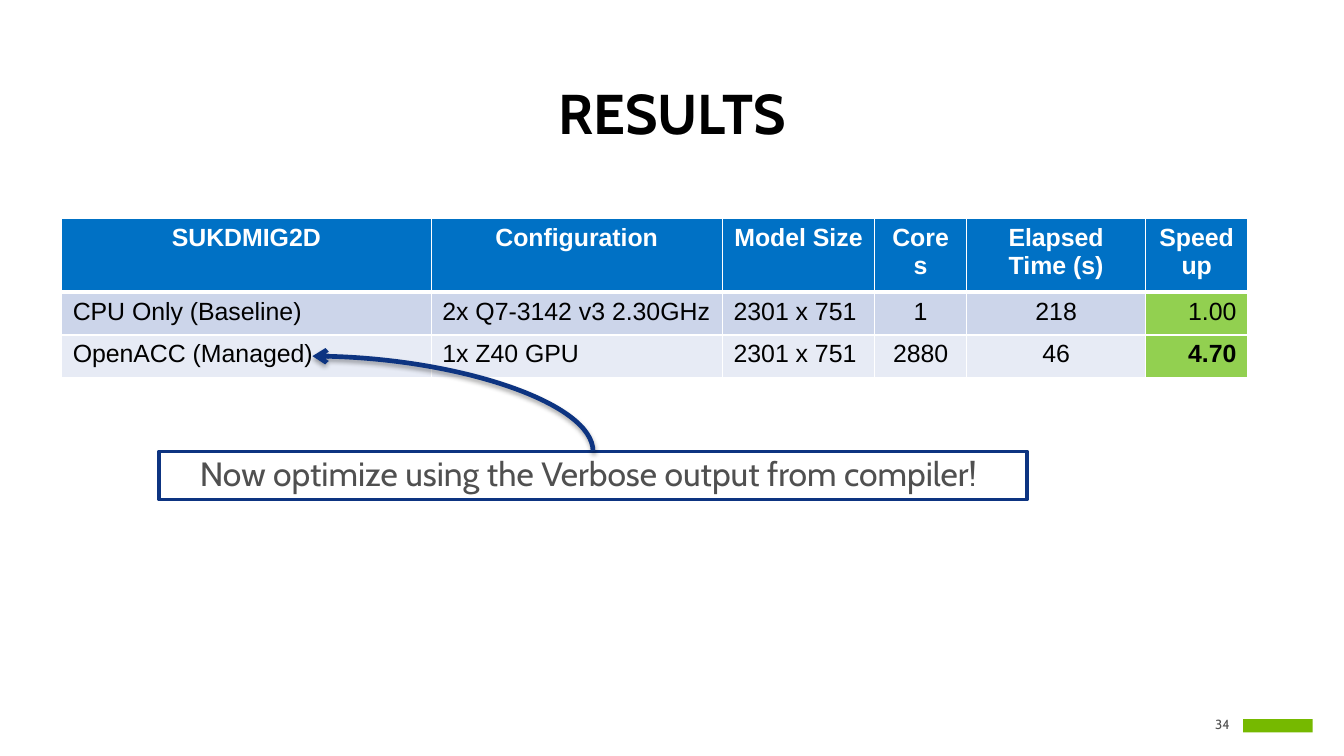
"""Build a results slide: a timing table with a callout and a curved arrow."""
from lxml import etree
from pptx import Presentation
from pptx.dml.color import RGBColor
from pptx.enum.shapes import MSO_CONNECTOR, MSO_SHAPE
from pptx.enum.text import MSO_ANCHOR, PP_ALIGN
from pptx.oxml import parse_xml
from pptx.oxml.ns import nsdecls, qn
from pptx.util import Inches, Pt

LEFT, MID, RIGHT = PP_ALIGN.LEFT, PP_ALIGN.CENTER, PP_ALIGN.RIGHT
CENTRE, BOTTOM, TOP = MSO_ANCHOR.MIDDLE, MSO_ANCHOR.BOTTOM, MSO_ANCHOR.TOP
RECT, CURVE = MSO_SHAPE.RECTANGLE, MSO_CONNECTOR.CURVE

WHITE = RGBColor(0xFF, 0xFF, 0xFF)
BLACK = RGBColor(0x00, 0x00, 0x00)
GREY = RGBColor(0x50, 0x50, 0x50)
BLUE = RGBColor(0x00, 0x71, 0xC5)
NAVY = RGBColor(0x0D, 0x34, 0x81)
LIME = RGBColor(0x92, 0xD0, 0x50)
GREEN = RGBColor(0x76, 0xB9, 0x00)
BANDS = (RGBColor(0xE7, 0xEB, 0xF5), RGBColor(0xCC, 0xD5, 0xEA))

WIDE, HIGH = 12, 6.75
EDGE = 0.55
TITLE = "RESULTS"
NOTE = "Now optimize using the Verbose output from compiler!"
PAGE = "34"
ROWS = [
    ("SUKDMIG2D", "Configuration", "Model Size", "Cores", "Elapsed Time (s)", "Speedup"),
    ("CPU Only (Baseline)", "2x Q7-3142 v3 2.30GHz", "2301 x 751", "1", "218", "1.00"),
    ("OpenACC (Managed)", "1x Z40 GPU", "2301 x 751", "2880", "46", "4.70"),
]
COLS = (3.3, 2.6, 1.36, 0.82, 1.6, 0.91)
TALL = (0.66, 0.38, 0.38)
ALIGN = (LEFT, LEFT, LEFT, MID, MID, RIGHT)
BOX = (1.42, 4.03, 7.75, 0.43)
TIP = (2.79, 3.18)


def write(frame, text, align, form, anchor=CENTRE, space=None):
    frame.vertical_anchor = anchor
    para = frame.paragraphs[0]
    para.alignment = align
    if space:
        para.line_spacing = space
    run = para.add_run()
    run.text = text
    form = dict(form)
    run.font.color.rgb = form.pop("color")
    for key, value in form.items():
        setattr(run.font, key, value)


def inset(frame, **sides):
    for side, size in sides.items():
        setattr(frame, "margin_" + side, Inches(size))


def border(cell, base):
    props = cell._tc.get_or_add_tcPr()
    for side, size in (("L", 1), ("R", 1), ("T", 1), ("B", base)):
        props.append(parse_xml(
            f'<a:ln{side} {nsdecls("a")} w="{Pt(size)}"><a:solidFill>'
            f'<a:srgbClr val="{WHITE}"/></a:solidFill></a:ln{side}>'))


def add_grid(slide):
    area = [Inches(n) for n in (EDGE, 1.95, sum(COLS), sum(TALL))]
    table = slide.shapes.add_table(len(ROWS), len(COLS), *area).table
    for col, size in zip(table.columns, COLS):
        col.width = Inches(size)
    for r, texts in enumerate(ROWS):
        table.rows[r].height = Inches(TALL[r])
        head = r == 0
        for c, text in enumerate(texts):
            cell = table.cell(r, c)
            last = c == len(COLS) - 1
            border(cell, 3 if head else 1)
            cell.fill.solid()
            cell.fill.fore_color.rgb = BLUE if head else LIME if last else BANDS[r % 2]
            form = {"name": "Arial", "size": Pt(16), "color": WHITE if head else BLACK,
                    "bold": head or (last and r == len(ROWS) - 1)}
            write(cell.text_frame, text, MID if head else ALIGN[c], form, TOP)


def add_rect(slide, area, fill=None, line=None):
    rect = slide.shapes.add_shape(RECT, *[Inches(n) for n in area])
    rect.shadow.inherit = False
    if fill:
        rect.fill.solid()
        rect.fill.fore_color.rgb = fill
    else:
        rect.fill.background()
    if line:
        rect.line.color.rgb = line
        rect.line.width = Pt(2.25)
    else:
        rect.line.fill.background()
    return rect


def add_curve(slide, start, end):
    midx, midy = [(a + b) / 2 for a, b in zip(start, end)]
    run, rise = [abs(a - b) / 2 for a, b in zip(start, end)]
    ends = (midx - rise, midy + run, midx + rise, midy - run)
    curve = slide.shapes.add_connector(CURVE, *[Inches(n) for n in ends])
    curve.line.color.rgb = NAVY
    curve.line.width = Pt(3)
    props = curve._element.spPr
    props.find(qn("a:xfrm")).set("rot", str(270 * 60000))
    props.find(qn("a:prstGeom")).set("prst", "curvedConnector2")
    etree.SubElement(curve.line._get_or_add_ln(), qn("a:tailEnd"), type="arrow")
    props.append(parse_xml(
        f'<a:effectLst {nsdecls("a")}><a:outerShdw blurRad="{Pt(3.1)}" dist="{Pt(1.8)}" '
        f'dir="5400000" rotWithShape="0"><a:srgbClr val="{BLACK}">'
        '<a:alpha val="35000"/></a:srgbClr></a:outerShdw></a:effectLst>'))


def add_text(slide, area):
    return slide.shapes.add_textbox(*[Inches(n) for n in area]).text_frame


def main():
    deck = Presentation()
    deck.slide_width, deck.slide_height = Inches(WIDE), Inches(HIGH)
    slide = deck.slides.add_slide(deck.slide_layouts[6])

    page = add_text(slide, (10.68, 6.38, 0.35, 0.18))
    inset(page, left=0, top=0, right=0.05, bottom=0)
    write(page, PAGE, RIGHT, {"name": "Cabin", "size": Pt(8.5), "color": GREY})
    add_rect(slide, (11.1, 6.42, 0.62, 0.12), fill=GREEN)

    title = add_text(slide, (EDGE, 0.71, WIDE - 2 * EDGE, 0.65))
    title.word_wrap = True
    write(title, TITLE, MID,
          {"name": "Cabin", "size": Pt(36), "color": BLACK, "bold": True}, BOTTOM, 0.9)

    add_grid(slide)

    note = add_rect(slide, BOX, line=NAVY).text_frame
    note.word_wrap = False
    inset(note, left=0.1, right=0.18)
    write(note, NOTE, MID, {"name": "Cabin", "size": Pt(21.6), "color": GREY}, space=0.9)

    add_curve(slide, (BOX[0] + BOX[2] / 2, BOX[1]), TIP)
    deck.save("out.pptx")


if __name__ == "__main__":
    main()
